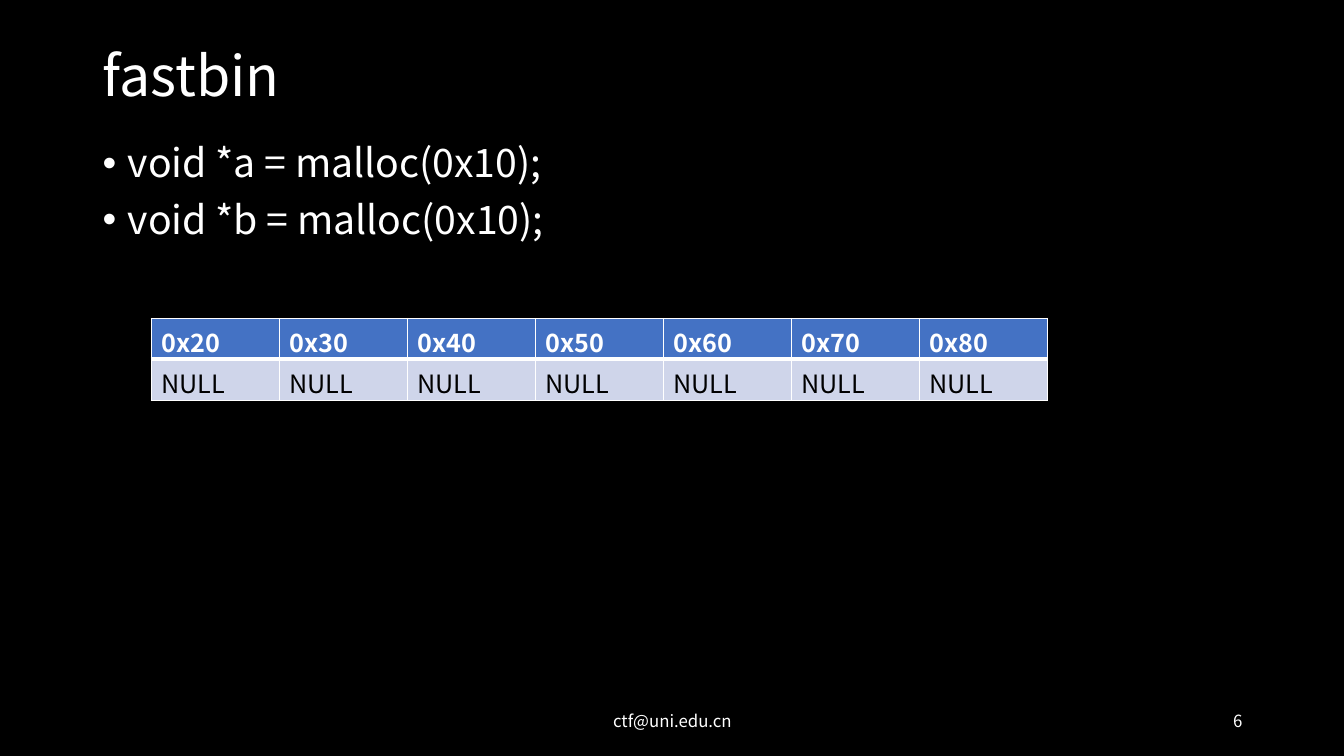
from lxml.etree import SubElement
from pptx import Presentation
from pptx.dml.color import RGBColor
from pptx.enum.text import MSO_ANCHOR, PP_ALIGN
from pptx.oxml.ns import qn
from pptx.util import Inches, Pt

COLORS = {"back": "000000", "light": "FFFFFF", "dark": "000000",
          "header": "4472C4", "body": "CFD5EA"}
SIZES = ["0x20", "0x30", "0x40", "0x50", "0x60", "0x70", "0x80"]


def color(name):
    return RGBColor.from_string(COLORS[name])


class SlideBuilder:
    font = "Noto Sans CJK SC"

    def __init__(self, page):
        self.page = page
        page.background.fill.solid()
        page.background.fill.fore_color.rgb = color("back")

    def add_span(self, para, text, size, ink="light", bold=False):
        span = para.add_run()
        span.text = text
        values = {"name": self.font, "size": Pt(size), "bold": bold}
        for key, value in values.items():
            setattr(span.font, key, value)
        span.font.color.rgb = color(ink)

    def add_text(self, area, lines, size, anchor=MSO_ANCHOR.MIDDLE, bullet=False, **layout):
        box = self.page.shapes.add_textbox(*map(Inches, area))
        frame = box.text_frame
        frame.word_wrap = True
        frame.vertical_anchor = anchor
        for index, line in enumerate(lines):
            para = frame.add_paragraph() if index else frame.paragraphs[0]
            for key, value in layout.items():
                setattr(para, key, value)
            if bullet:
                self.add_bullet(para)
            self.add_span(para, line, size)

    def add_bullet(self, para):
        props = para._p.get_or_add_pPr()
        props.set("marL", str(Inches(0.25)))
        props.set("indent", str(Inches(-0.25)))
        SubElement(props, qn("a:buFont"), typeface="Arial")
        SubElement(props, qn("a:buChar"), char="•")

    def add_borders(self, cell, widths):
        props = cell._tc.get_or_add_tcPr()
        for side, width in zip("LRTB", widths):
            line = SubElement(props, qn(f"a:ln{side}"), w=str(Pt(width)))
            fill = SubElement(line, qn("a:solidFill"))
            SubElement(fill, qn("a:srgbClr"), val=COLORS["light"])

    def add_table(self, area, rows, styles):
        shape = self.page.shapes.add_table(len(rows), len(rows[0]), *map(Inches, area))
        for r, (row, style) in enumerate(zip(rows, styles)):
            for c, text in enumerate(row):
                cell = shape.table.cell(r, c)
                self.add_borders(cell, style["borders"])
                cell.fill.solid()
                cell.fill.fore_color.rgb = color(style["fill"])
                para = cell.text_frame.paragraphs[0]
                self.add_span(para, text, 18, style["ink"], style["bold"])


def main():
    deck = Presentation()
    deck.slide_width, deck.slide_height = Inches(13.33), Inches(7.5)
    slide = SlideBuilder(deck.slides.add_slide(deck.slide_layouts[6]))

    # Title and code lines
    slide.add_text((0.92, 0.4, 11.5, 0.75), ["fastbin"], 39.6, line_spacing=0.9)
    slide.add_text((0.92, 1.38, 11.5, 1.78),
                   [f"void *{name} = malloc(0x10);" for name in "ab"], 28,
                   MSO_ANCHOR.TOP, bullet=True, line_spacing=0.9, space_before=Pt(10))

    # Bin table
    header = {"fill": "header", "ink": "light", "bold": True, "borders": (1, 1, 1, 3)}
    body = {"fill": "body", "ink": "dark", "bold": False, "borders": (1, 1, 3, 1)}
    slide.add_table((1.5, 3.16, 8.89, 0.81), [SIZES, ["NULL"] * len(SIZES)], [header, body])

    # Footer
    slide.add_text((4.42, 6.95, 4.5, 0.4), ["ctf@uni.edu.cn"], 12, alignment=PP_ALIGN.CENTER)
    slide.add_text((9.42, 6.95, 3, 0.4), ["6"], 12, alignment=PP_ALIGN.RIGHT)

    deck.save("out.pptx")


if __name__ == "__main__":
    main()
